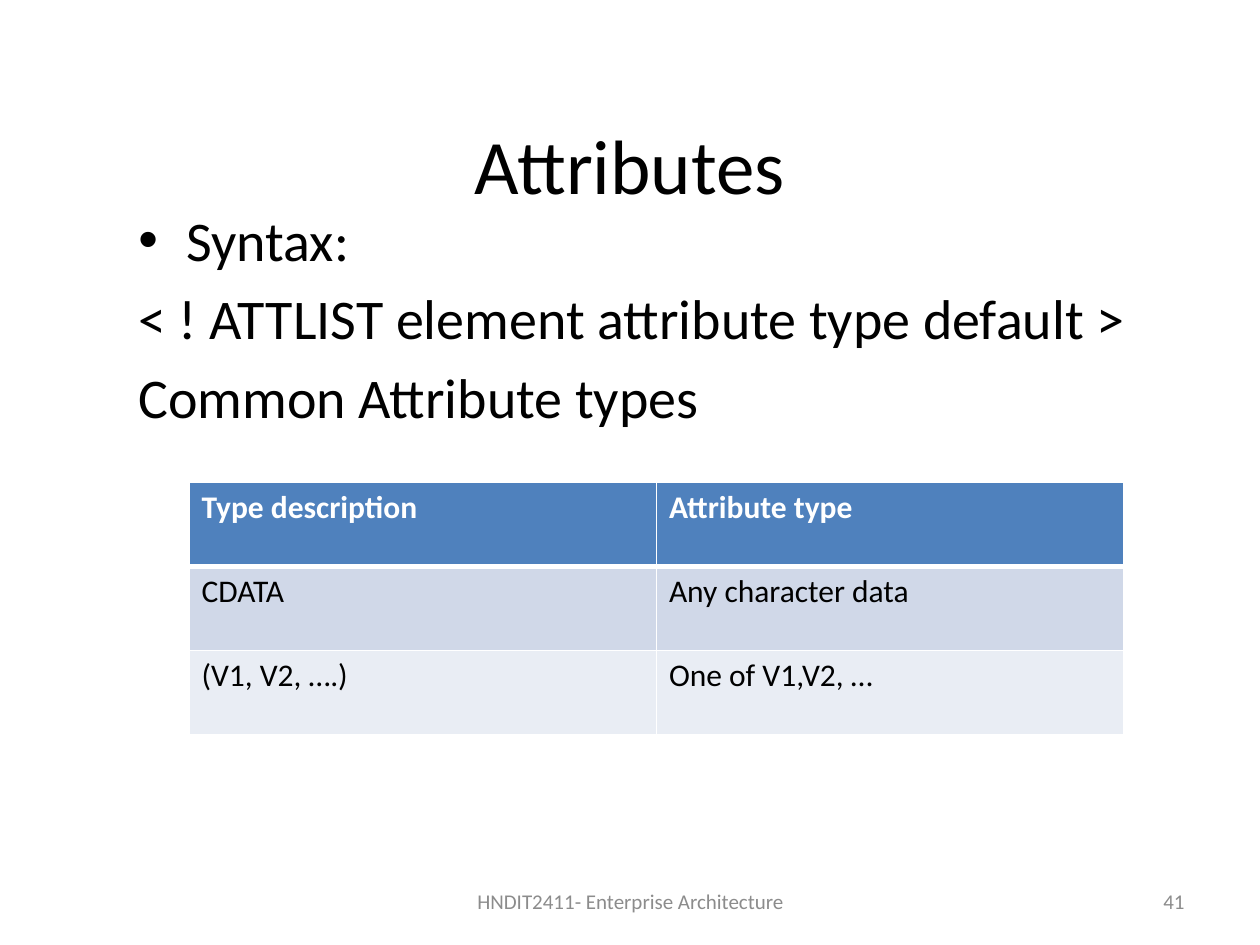
"""Build the slide on attribute list syntax and common attribute types."""
from dataclasses import dataclass

from lxml import etree
from pptx import Presentation
from pptx.dml.color import RGBColor
from pptx.enum.text import MSO_ANCHOR, PP_ALIGN
from pptx.oxml.ns import qn
from pptx.util import Inches, Pt

LEFT, CENTER, RIGHT = PP_ALIGN.LEFT, PP_ALIGN.CENTER, PP_ALIGN.RIGHT
TOP, MIDDLE = MSO_ANCHOR.TOP, MSO_ANCHOR.MIDDLE
FONT = "Calibri"
BLACK, WHITE, GRAY = "000000", "FFFFFF", "8C8C8C"
ROW_FILLS = ("4F81BD", "D0D8E8", "E9EDF4")
TABLE_ROWS = (
    ("Type description", "Attribute type"),
    ("CDATA", "Any character data"),
    ("(V1, V2, ….)", "One of V1,V2, …"),
)


@dataclass
class Label:
    text: str
    left: float
    top: float
    width: float
    height: float
    size: float
    color: str = BLACK
    align: PP_ALIGN = CENTER
    anchor: MSO_ANCHOR = MIDDLE


TITLE = Label("Attributes", 0.5, 0.67, 9, 1.25, 44)
BODY = Label(
    "Syntax:\n< ! ATTLIST element attribute type default >\nCommon Attribute types",
    1, 1.58, 8.77, 5.25, 32, align=LEFT, anchor=TOP,
)
FOOTER = Label("HNDIT2411- Enterprise Architecture", 3.42, 6.95, 3.17, 0.4, 12, GRAY)
PAGE_NUMBER = Label("41", 7.17, 6.95, 2.33, 0.4, 12, GRAY, RIGHT)


def rgb(color: str) -> RGBColor:
    return RGBColor.from_string(color)


def format_text(tf, size: float, color: str, align: PP_ALIGN, bold: bool = False) -> None:
    for p in tf.paragraphs:
        p.alignment = align
        for r in p.runs:
            r.font.name, r.font.size, r.font.bold = FONT, Pt(size), bold
            r.font.color.rgb = rgb(color)


def add_label(s, label: Label):
    box = s.shapes.add_textbox(
        Inches(label.left), Inches(label.top), Inches(label.width), Inches(label.height)
    )
    tf = box.text_frame
    tf.word_wrap = True
    tf.vertical_anchor = label.anchor
    tf.text = label.text
    format_text(tf, label.size, label.color, label.align)
    return tf


def set_hanging_list(tf, indent: float, space_before: float) -> None:
    for i, p in enumerate(tf.paragraphs):
        p.space_before = Pt(space_before)
        pPr = p._p.get_or_add_pPr()
        pPr.set("marL", str(Inches(indent)))
        pPr.set("indent", str(-Inches(indent)))
        if i == 0:
            etree.SubElement(pPr, qn("a:buFont"), typeface="Arial")
            etree.SubElement(pPr, qn("a:buChar"), char="•")
        else:
            etree.SubElement(pPr, qn("a:buNone"))


def set_borders(cell, widths: dict[str, float]) -> None:
    tcPr = cell._tc.get_or_add_tcPr()
    for i, (side, width) in enumerate(widths.items()):
        ln = etree.Element(qn(f"a:ln{side}"), w=str(Pt(width)))
        fill = etree.SubElement(ln, qn("a:solidFill"))
        etree.SubElement(fill, qn("a:srgbClr"), val=WHITE)
        tcPr.insert(i, ln)


def add_type_table(s) -> None:
    frame = s.shapes.add_table(
        len(TABLE_ROWS), len(TABLE_ROWS[0]),
        Inches(1.5), Inches(3.83), Inches(7.42), Inches(2),
    )
    for i, (texts, fill) in enumerate(zip(TABLE_ROWS, ROW_FILLS)):
        header = i == 0
        for j, text in enumerate(texts):
            cell = frame.table.cell(i, j)
            cell.text_frame.text = text
            format_text(cell.text_frame, 18, WHITE if header else BLACK, LEFT, header)
            cell.fill.solid()
            cell.fill.fore_color.rgb = rgb(fill)
            top, bottom = (3 if i == 1 else 1), (3 if header else 1)
            set_borders(cell, {"L": 1, "R": 1, "T": top, "B": bottom})


def main() -> None:
    prs = Presentation()
    prs.slide_width, prs.slide_height = Inches(10), Inches(7.5)
    s = prs.slides.add_slide(prs.slide_layouts[6])
    add_label(s, TITLE)
    set_hanging_list(add_label(s, BODY), 0.38, 6.4)
    for label in (FOOTER, PAGE_NUMBER):
        add_label(s, label)
    add_type_table(s)
    prs.save("out.pptx")


if __name__ == "__main__":
    main()
